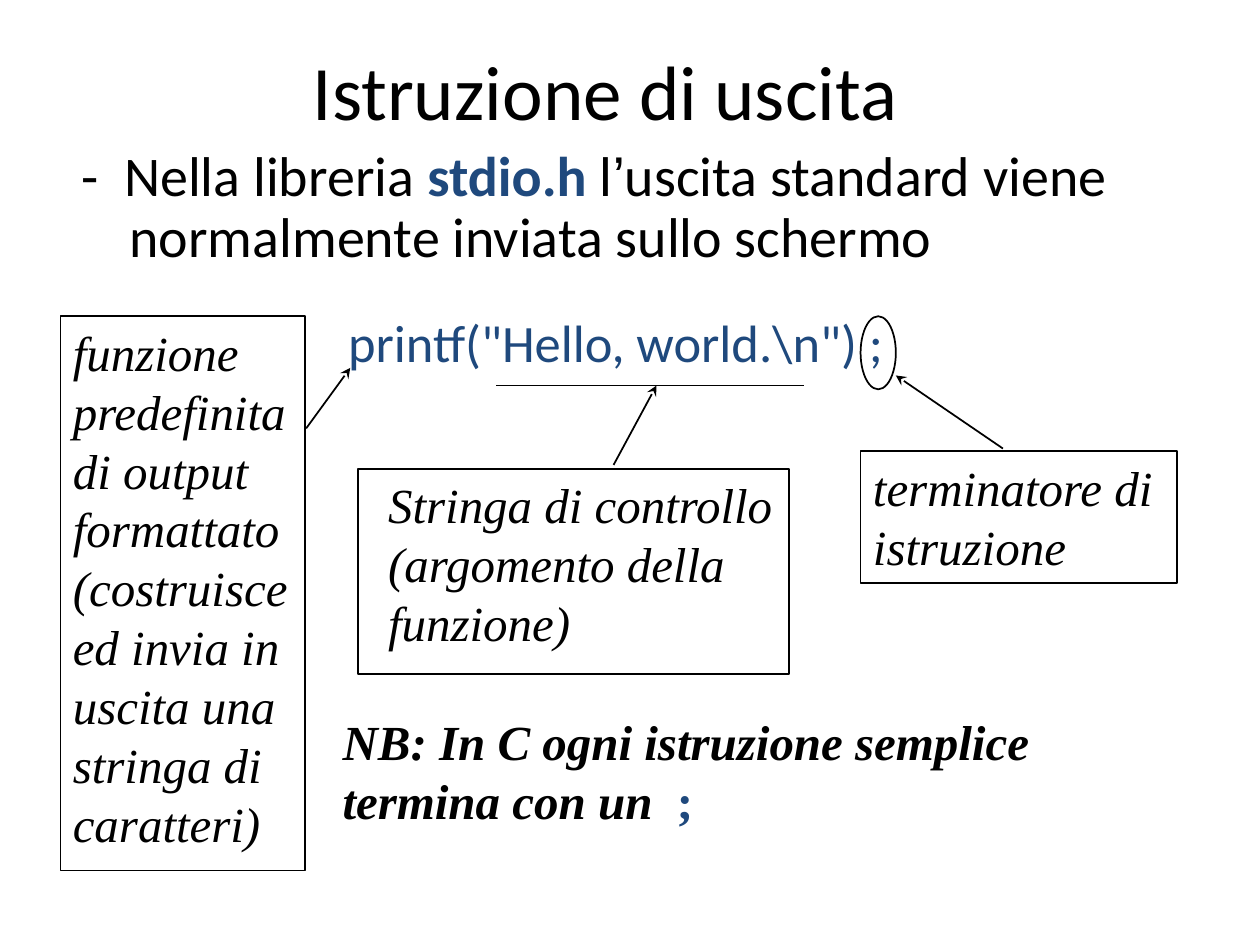
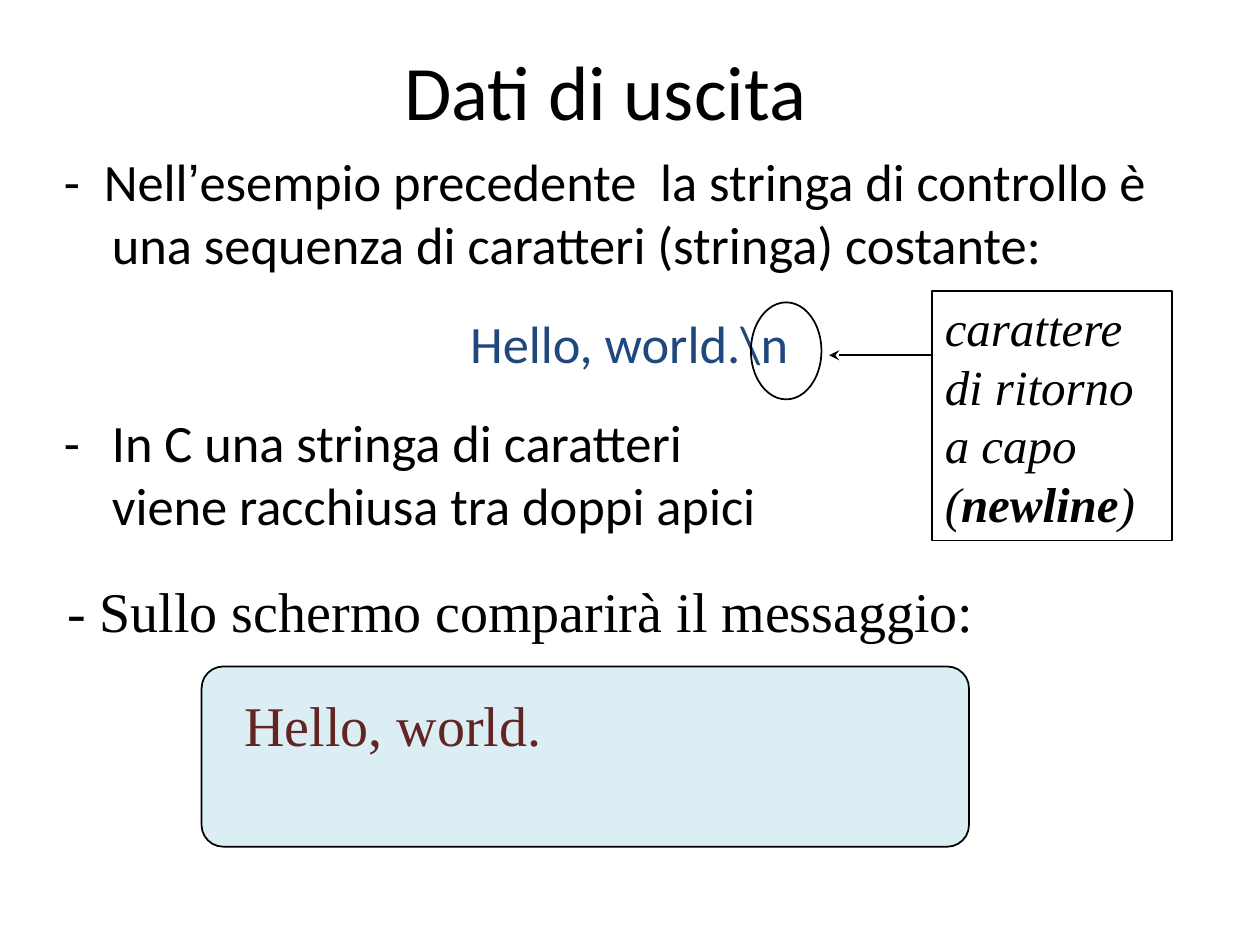
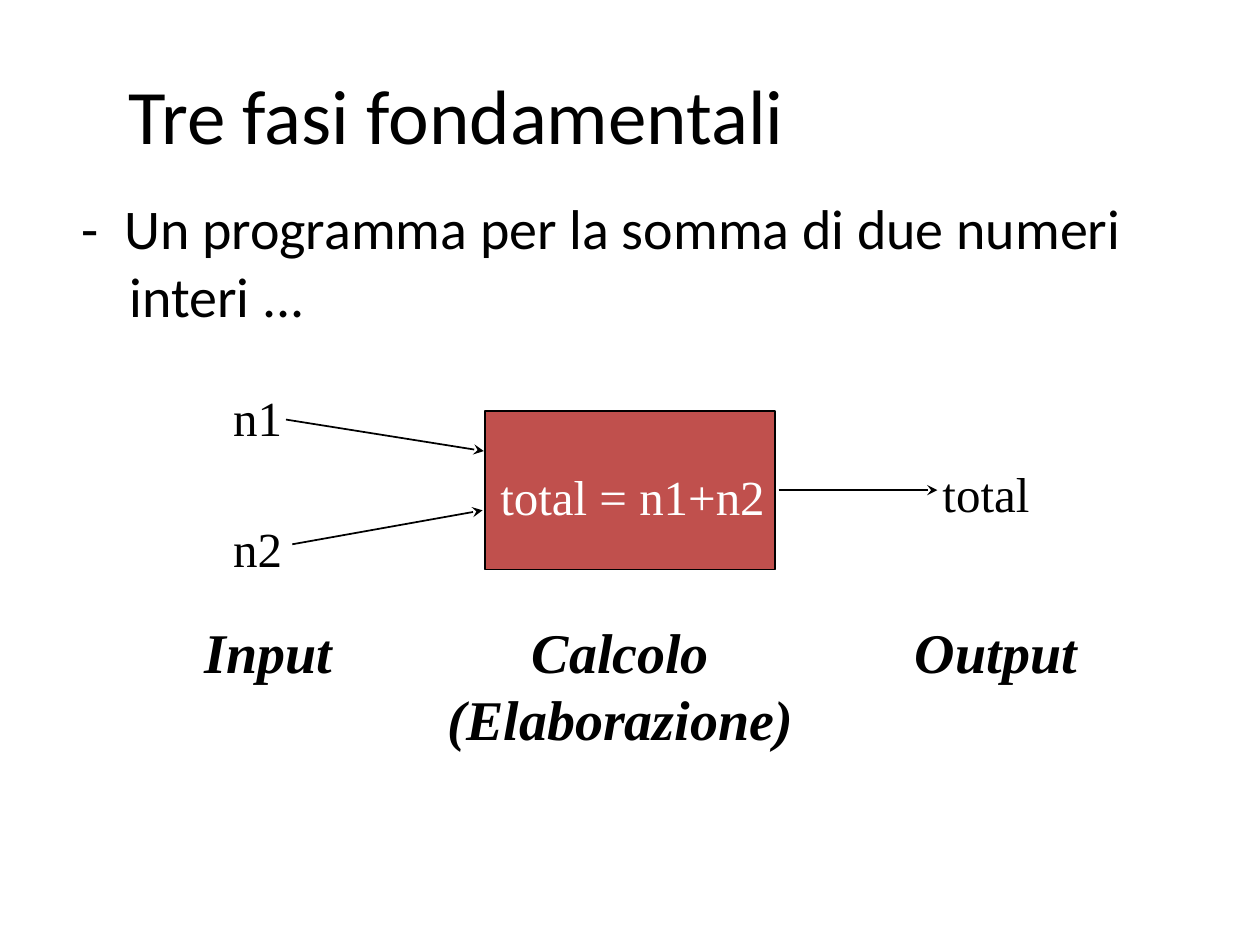
"""Build three slides on output in C."""
from dataclasses import dataclass, replace
from typing import NamedTuple, Optional

from lxml.etree import SubElement
from pptx import Presentation
from pptx.dml.color import RGBColor
from pptx.enum.shapes import MSO_CONNECTOR, MSO_SHAPE
from pptx.enum.text import MSO_ANCHOR, PP_ALIGN
from pptx.oxml.ns import qn
from pptx.util import Inches, Pt

BLACK = RGBColor(0x00, 0x00, 0x00)
WHITE = RGBColor(0xFF, 0xFF, 0xFF)
BLUE = RGBColor(0x1F, 0x49, 0x7D)
RED = RGBColor(0xC0, 0x50, 0x4D)
MAROON = RGBColor(0x63, 0x25, 0x23)
PALE = RGBColor(0xDB, 0xEE, 0xF4)
HANG = 0.38
LEFT, CENTER = PP_ALIGN.LEFT, PP_ALIGN.CENTER
RECT, ROUND, OVAL = MSO_SHAPE.RECTANGLE, MSO_SHAPE.ROUNDED_RECTANGLE, MSO_SHAPE.OVAL


@dataclass(frozen=True)
class Look:
    """Character style of a run."""
    font: str
    size: float
    color: RGBColor = BLACK
    bold: bool = False
    italic: bool = False


class Run(NamedTuple):
    """Text in one style."""
    text: str
    look: Look


@dataclass(frozen=True)
class Para:
    """A paragraph with its spacing and indents."""
    runs: tuple[Run, ...]
    align: PP_ALIGN = LEFT
    before: float = 0
    margin: float = 0
    first: float = 0
    leading: float = 1


class Place(NamedTuple):
    """A rectangle in inches."""
    left: float
    top: float
    width: float
    height: float


class Pad(NamedTuple):
    """Text insets in inches."""
    left: float = 0.1
    top: float = 0.05
    right: float = 0.1
    bottom: float = 0.05


@dataclass(frozen=True)
class Box:
    """A text box, or a shape when a kind is given."""
    place: Place
    paras: tuple[Para, ...] = ()
    kind: Optional[MSO_SHAPE] = None
    fill: Optional[RGBColor] = None
    pad: Pad = Pad()
    wrap: bool = True
    anchor: MSO_ANCHOR = MSO_ANCHOR.TOP


class Line(NamedTuple):
    """A straight line, with an arrowhead at its end by default."""
    start: tuple[float, float]
    end: tuple[float, float]
    arrow: bool = True


@dataclass(frozen=True)
class Page:
    """One slide."""
    title: str
    place: Place
    boxes: tuple[Box, ...]
    lines: tuple[Line, ...]
    align: PP_ALIGN = CENTER


TITLE = Look("Calibri", 44)
BODY = Look("Calibri", 32)
TEXT = Look("Calibri", 30)
CODE = replace(TEXT, color=BLUE)
PLAIN = Look("Times New Roman", 28)
NOTE = replace(PLAIN, italic=True)
STRONG = replace(NOTE, bold=True)
SCREEN = replace(PLAIN, size=32)
PHASE = replace(STRONG, size=32)
HEAD = Place(1.53, 0.27, 6.55, 0.88)


def quote(look: Look) -> Run:
    """Return an apostrophe in Arial."""
    return Run("’", replace(look, font="Arial"))


def hung(*runs: Run, before: float = 7.5, leading: float = 1) -> Para:
    """Return a paragraph with a hanging indent."""
    return Para(runs, before=before, margin=HANG, first=-HANG, leading=leading)


def frame(place: Place, *runs: Run, pad: Pad = Pad()) -> Box:
    """Return an outlined note."""
    return Box(place, (Para(runs),), RECT, pad=pad)


def label(place: Place, look: Look, *texts: str) -> Box:
    """Return centred text that does not wrap."""
    paras = tuple(Para((Run(text, look),), CENTER) for text in texts)
    return Box(place, paras, wrap=False)


def write(body, paras: tuple[Para, ...]) -> None:
    """Fill a text frame run by run."""
    for index, para in enumerate(paras):
        item = body.paragraphs[0] if index == 0 else body.add_paragraph()
        item.alignment = para.align
        item.space_before = Pt(para.before)
        item.line_spacing = para.leading
        props = item._p.get_or_add_pPr()
        props.set("marL", str(Inches(para.margin)))
        props.set("indent", str(Inches(para.first)))
        for text, look in para.runs:
            for count, part in enumerate(text.split("\n")):
                if count:
                    item.add_line_break()
                run = item.add_run()
                run.text = part
                font = run.font
                font.name, font.size = look.font, Pt(look.size)
                font.bold, font.italic = look.bold, look.italic
                font.color.rgb = look.color


def draw_box(slide, box: Box) -> None:
    """Draw a text box or a shape."""
    place = [Inches(value) for value in box.place]
    if box.kind is None:
        shape = slide.shapes.add_textbox(*place)
    else:
        shape = slide.shapes.add_shape(box.kind, *place)
        shape.shadow.inherit = False
        shape.line.color.rgb = BLACK
        shape.line.width = Pt(1)
        if box.kind == ROUND:
            shape.adjustments[0] = 0.12
        if box.fill is None:
            shape.fill.background()
        else:
            shape.fill.solid()
            shape.fill.fore_color.rgb = box.fill
    body = shape.text_frame
    body.word_wrap = box.wrap
    body.vertical_anchor = box.anchor
    body.margin_left, body.margin_top, body.margin_right, body.margin_bottom = map(Inches, box.pad)
    write(body, box.paras)


def draw_line(slide, line: Line) -> None:
    """Draw a line or an arrow."""
    ends = [Inches(value) for value in (*line.start, *line.end)]
    shape = slide.shapes.add_connector(MSO_CONNECTOR.STRAIGHT, *ends)
    shape.line.color.rgb = BLACK
    shape.line.width = Pt(1)
    if line.arrow:
        SubElement(shape.line._get_or_add_ln(), qn("a:tailEnd"), type="stealth")
    SubElement(shape._element.spPr, qn("a:effectLst"))


def draw_page(deck, page: Page) -> None:
    """Add a slide with its title, boxes and lines."""
    slide = deck.slides.add_slide(deck.slide_layouts[5])
    title = slide.shapes.title
    title.left, title.top, title.width, title.height = map(Inches, page.place)
    title.text_frame.vertical_anchor = MSO_ANCHOR.MIDDLE
    write(title.text_frame, (Para((Run(page.title, TITLE),), page.align),))
    for box in page.boxes:
        draw_box(slide, box)
    for line in page.lines:
        draw_line(slide, line)


OUTPUT = Page(
    "Istruzione di uscita", HEAD,
    (
        Box(Place(0.55, 1.13, 8.94, 1.17), (hung(
            Run("-  Nella libreria ", BODY),
            Run("stdio.h", replace(BODY, color=BLUE, bold=True)),
            Run(" l", BODY), quote(BODY),
            Run("uscita standard viene normalmente inviata sullo schermo", BODY),
            before=8, leading=0.9),)),
        Box(Place(2.57, 2.47, 4.78, 0.57),
            (hung(Run(" printf(\"Hello, world.\\n\") ;", CODE), leading=0.9),)),
        frame(Place(0.48, 2.51, 1.94, 4.4),
              Run("funzione  predefinita di output formattato (costruisce "
                  "ed invia in uscita una stringa di caratteri)", NOTE)),
        frame(Place(2.84, 3.72, 3.42, 1.63),
              Run("Stringa di controllo (argomento della funzione)", NOTE),
              pad=Pad(left=0.24, right=0.03)),
        frame(Place(6.83, 3.58, 2.51, 1.05), Run("terminatore di istruzione", NOTE)),
        Box(Place(6.83, 2.51, 0.28, 0.58), kind=OVAL),
        Box(Place(2.24, 5.6, 6.89, 1.04), (Para((
            Run("NB: In C ogni istruzione semplice\ntermina con un  ", STRONG),
            Run(";", replace(STRONG, color=BLUE, italic=False))),
            before=7, margin=HANG),)),
    ),
    (
        Line((2.43, 3.4), (2.78, 2.92)),
        Line((4.87, 3.69), (5.21, 3.06)),
        Line((3.94, 3.06), (6.38, 3.06), arrow=False),
        Line((7.96, 3.56), (7.11, 2.98)),
    ),
)

DATA = Page(
    "Dati di uscita", HEAD,
    (
        Box(Place(0.41, 1.13, 9.17, 3.38), (
            hung(Run("-  Nell", TEXT), quote(TEXT),
                 Run("esempio precedente  la stringa di controllo è una sequenza "
                     "di caratteri (stringa) costante:", TEXT)),
            replace(hung(Run("Hello, world.\\n", CODE), before=20.7), align=CENTER),
            hung(Run("-\tIn C una stringa di caratteri \nviene racchiusa tra doppi apici", TEXT),
                 before=20.7))),
        frame(Place(7.4, 2.31, 1.9, 1.98),
              Run("carattere di ritorno a capo (", NOTE), Run("newline", STRONG), Run(")", NOTE)),
        Box(Place(5.96, 2.4, 0.56, 0.77), kind=OVAL),
        label(Place(0.43, 4.53, 7.41, 0.63), SCREEN, "- Sullo schermo comparirà il messaggio:"),
        Box(Place(1.6, 5.29, 6.09, 1.43),
            (Para((Run("Hello, world.", replace(SCREEN, color=MAROON)),)),),
            ROUND, PALE, Pad(left=0.29, top=0.14)),
    ),
    (Line((7.4, 2.82), (6.58, 2.82)),),
)

PHASES = Page(
    "Tre fasi fondamentali", Place(0.92, 0.46, 8.27, 0.88),
    (
        Box(Place(0.55, 1.49, 8.94, 1.81),
            (hung(Run("-  Un programma per la somma di due numeri interi ...", BODY), before=8),)),
        Box(Place(3.85, 3.26, 2.3, 1.26),
            (Para((Run("total = n1+n2", replace(PLAIN, color=WHITE)),), CENTER),),
            RECT, RED, Pad(left=0.14, top=0.14), False, MSO_ANCHOR.MIDDLE),
        label(Place(1.75, 3.03, 0.59, 0.57), PLAIN, "n1"),
        label(Place(1.75, 4.07, 0.59, 0.57), PLAIN, "n2"),
        label(Place(7.38, 3.63, 0.89, 0.57), PLAIN, "total"),
        label(Place(1.52, 4.85, 1.22, 0.63), PHASE, "Input"),
        label(Place(3.45, 4.85, 2.95, 1.17), PHASE, "Calcolo", "(Elaborazione)"),
        label(Place(7.16, 4.85, 1.49, 0.63), PHASE, "Output"),
    ),
    (
        Line((2.27, 3.33), (3.84, 3.58)),
        Line((2.32, 4.32), (3.83, 4.05)),
        Line((6.18, 3.89), (7.44, 3.89)),
    ),
    LEFT,
)


def main() -> None:
    """Build and save the slides."""
    deck = Presentation()
    deck.slide_width, deck.slide_height = Inches(10), Inches(7.5)
    for page in (OUTPUT, DATA, PHASES):
        draw_page(deck, page)
    deck.save("out.pptx")


if __name__ == "__main__":
    main()
